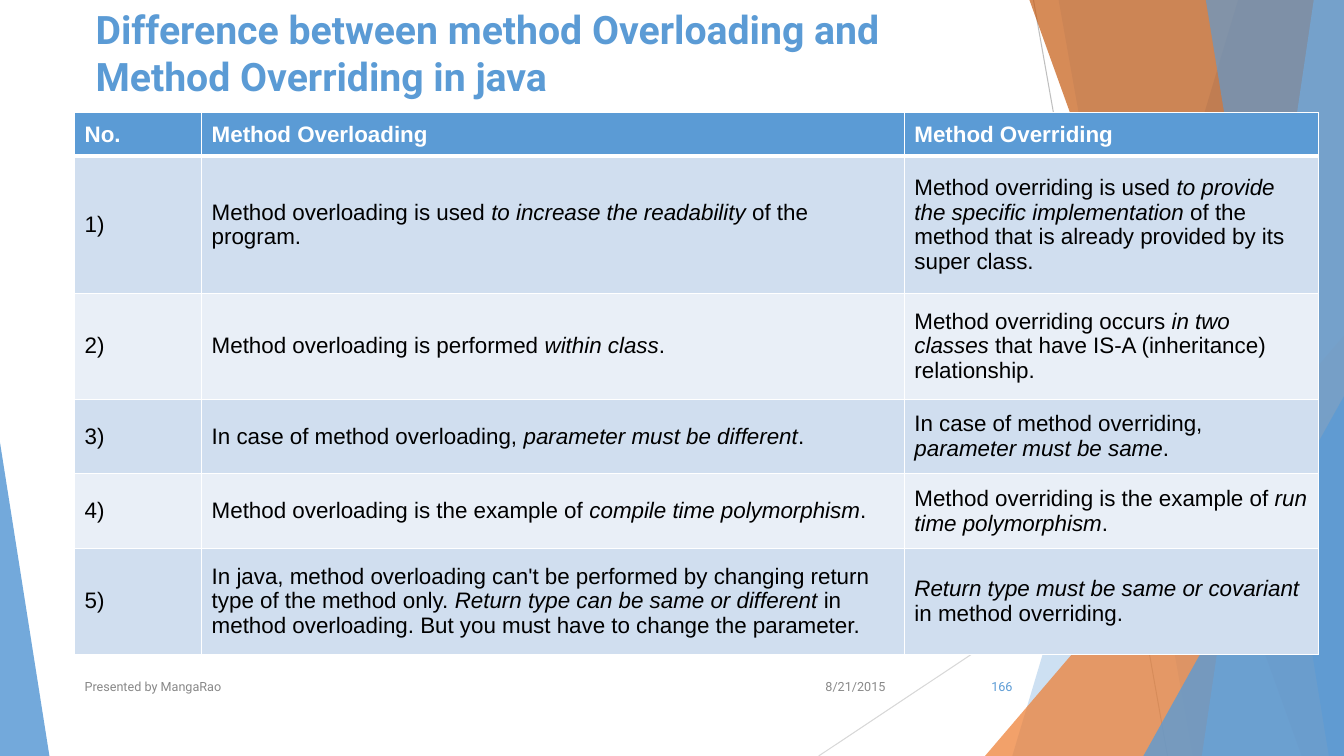
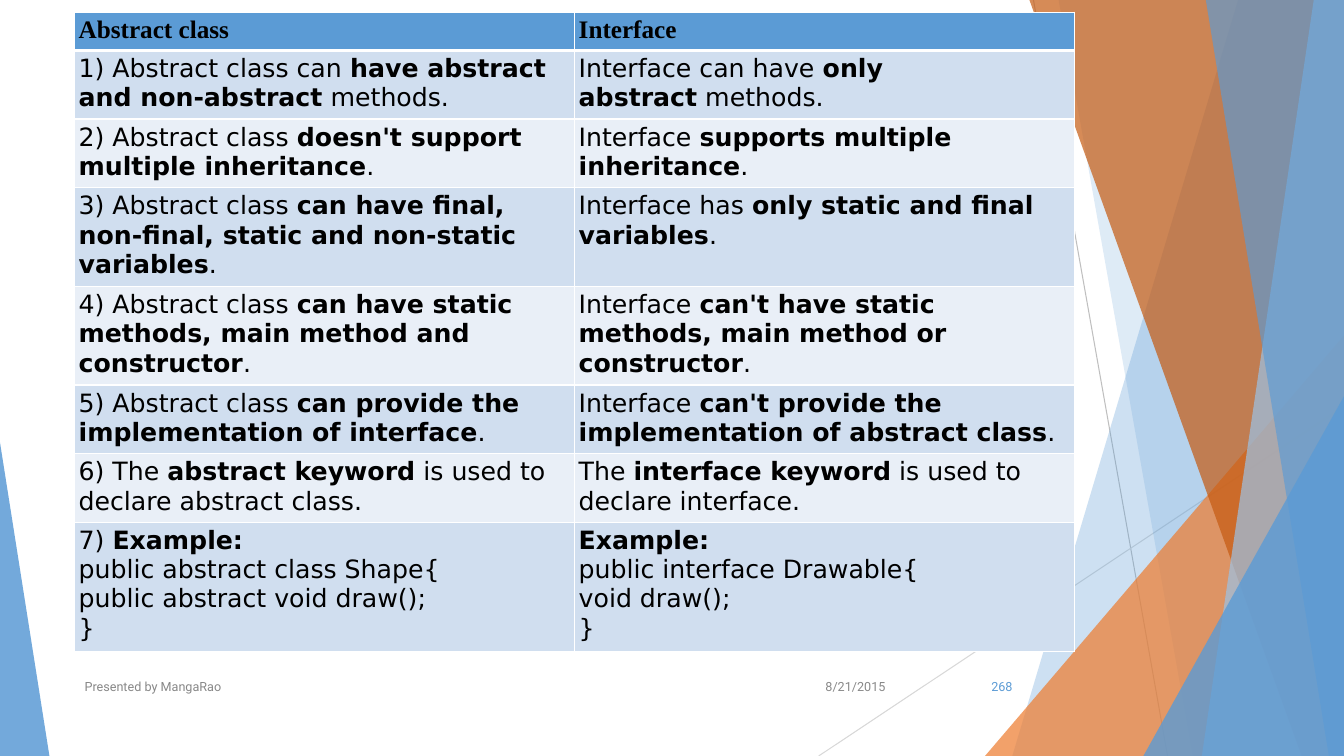
from dataclasses import dataclass

from lxml.etree import SubElement
from pptx import Presentation
from pptx.dml.color import RGBColor
from pptx.enum.shapes import MSO_CONNECTOR, MSO_SHAPE
from pptx.enum.text import MSO_ANCHOR, PP_ALIGN
from pptx.oxml.ns import qn
from pptx.shapes.autoshape import Shape
from pptx.slide import Slide
from pptx.table import _Cell
from pptx.text.text import TextFrame
from pptx.util import Inches, Pt

WIDTH, HEIGHT = 13.33, 7.5

WHITE = RGBColor(0xFF, 0xFF, 0xFF)
BLACK = RGBColor(0x00, 0x00, 0x00)
BLUE = RGBColor(0x5B, 0x9B, 0xD5)
PALE_BLUE = RGBColor(0x9C, 0xC2, 0xE5)
ORANGE = RGBColor(0xED, 0x7D, 0x31)
RUST = RGBColor(0xC5, 0x5A, 0x11)
GREY = RGBColor(0x88, 0x88, 0x88)
LINE_GREY = RGBColor(0xBF, 0xBF, 0xBF)
LIGHT_LINE_GREY = RGBColor(0xD8, 0xD8, 0xD8)
ROW_FILLS = (RGBColor(0xE9, 0xEF, 0xF7), RGBColor(0xD0, 0xDE, 0xEF))

EMPHASIS_MARK = "*"
HARD_SPACE_MARK, HARD_SPACE = "~", chr(160)


@dataclass(frozen=True)
class Ray:
    start: tuple[float, float]
    end: tuple[float, float]
    color: RGBColor


@dataclass(frozen=True)
class Band:
    """A full-height pane from a slanted left edge to the right of the slide."""
    top_x: float
    bottom_x: float
    color: RGBColor
    opacity: int


@dataclass(frozen=True)
class Wedge:
    """A right triangle standing on the bottom of the slide."""
    left: float
    top: float
    width: float
    apex: int
    color: RGBColor
    opacity: int


@dataclass(frozen=True)
class TextStyle:
    format: dict
    color: RGBColor
    align: PP_ALIGN = PP_ALIGN.LEFT
    anchor: MSO_ANCHOR = MSO_ANCHOR.MIDDLE
    margins: tuple[float, float] = (0.1, 0.05)
    emphasis: str = "bold"


@dataclass(frozen=True)
class TableDesign:
    top: float
    column_widths: list[float]
    row_heights: list[float]
    header: TextStyle
    body: TextStyle


RAYS = [
    Ray((10.25, 0), (11.58, HEIGHT), LINE_GREY),
    Ray((WIDTH, 4.03), (8.12, HEIGHT), LIGHT_LINE_GREY),
]
PANES = [
    Band(12.28, 10.04, BLUE, 30),
    Band(10.5, 11.83, BLUE, 20),
    Wedge(9.77, 3.33, 3.56, 1, ORANGE, 72),
    Band(10.21, 12.91, RUST, 70),
    Band(13.03, 11.92, PALE_BLUE, 70),
    Band(11.96, 13.18, BLUE, 65),
    Wedge(11.34, 3.93, 1.99, 1, BLUE, 80),
    Wedge(0, 4.39, 0.49, 0, BLUE, 85),
]

TABLE_LEFT = 0.74
FOOTER_TOP, FOOTER_HEIGHT = 6.61, 0.4
FOOTER_FORMAT = {"name": "Roboto", "size": Pt(9)}
FOOTER = TextStyle(FOOTER_FORMAT, GREY)
DATE = TextStyle(FOOTER_FORMAT, GREY, PP_ALIGN.RIGHT)
PAGE_NUMBER = TextStyle(FOOTER_FORMAT, BLUE, PP_ALIGN.RIGHT)
TITLE = TextStyle({"name": "Roboto", "size": Pt(28), "bold": True}, BLUE,
                  anchor=MSO_ANCHOR.TOP)

METHOD_DESIGN = TableDesign(
    1.12, [1.26, 6.97, 4.11], [0.43, 1.36, 1.05, 0.74, 0.74, 1.05],
    TextStyle({"name": "Arial", "size": Pt(16), "bold": True}, WHITE),
    TextStyle({"name": "Arial", "size": Pt(16), "bold": False}, BLACK, emphasis="italic"),
)
CLASS_DESIGN = TableDesign(
    0.12, [4.96, 4.96], [0.36, 0.66, 0.66, 0.95, 0.95, 0.66, 0.66, 1.24],
    TextStyle({"name": "Times New Roman", "size": Pt(18), "bold": True}, BLACK,
              anchor=MSO_ANCHOR.TOP, margins=(0.04, 0.04)),
    TextStyle({"name": "DejaVu Sans", "size": Pt(18), "bold": False}, BLACK,
              anchor=MSO_ANCHOR.TOP, margins=(0.04, 0.04)),
)

METHOD_ROWS = [
    ("No.", "Method Overloading", "Method Overriding"),
    ("1)", "Method overloading is used *to increase the readability* of the program.",
     "Method overriding is used *to provide the specific implementation* of the method "
     "that is already provided by its super class."),
    ("2)", "Method overloading is performed *within class*.",
     "Method overriding occurs *in two classes* that have IS-A (inheritance) relationship."),
    ("3)", "In case of method overloading, *parameter must be different*.",
     "In case of method overriding, *parameter must be same*."),
    ("4)", "Method overloading is the example of *compile time polymorphism*.",
     "Method overriding is the example of *run time polymorphism*."),
    ("5)", "In java, method overloading can't be performed by changing return type of the "
     "method only. *Return type can be same or different* in method overloading. "
     "But you must have to change the parameter.",
     "*Return type must be same or covariant* in method overriding."),
]
CLASS_ROWS = [
    ("Abstract class", "Interface"),
    ("1) Abstract class can~*have abstract and non-abstract*~methods.",
     "Interface can have~*only abstract*~methods."),
    ("2) Abstract class~*doesn't support multiple inheritance*.",
     "Interface~*supports multiple inheritance*."),
    ("3) Abstract class~*can have final, non-final, static and non-static variables*.",
     "Interface has~*only static and final variables*."),
    ("4) Abstract class~*can have static methods, main method and constructor*.",
     "Interface~*can't have static methods, main method or constructor*."),
    ("5) Abstract class~*can provide the implementation of interface*.",
     "Interface~*can't provide the implementation of abstract class*."),
    ("6) The~*abstract keyword*~is used to declare abstract class.",
     "The~*interface keyword*~is used to declare interface."),
    ("7)~*Example:*\npublic abstract class Shape{\npublic abstract void draw();\n}",
     "*Example:*\npublic interface Drawable{\nvoid draw();\n}"),
]


def write_text(frame: TextFrame, text: str, style: TextStyle) -> None:
    """Write one paragraph per line; text between asterisks is emphasised."""
    for index, line in enumerate(text.replace(HARD_SPACE_MARK, HARD_SPACE).split("\n")):
        paragraph = frame.add_paragraph() if index else frame.paragraphs[0]
        paragraph.alignment = style.align
        for part, words in enumerate(line.split(EMPHASIS_MARK)):
            if not words:
                continue
            run = paragraph.add_run()
            run.text = words
            emphasis = {style.emphasis: True} if part % 2 else {}
            for attribute, value in (style.format | emphasis).items():
                setattr(run.font, attribute, value)
            run.font.color.rgb = style.color


def set_layout(target: TextFrame | _Cell, style: TextStyle) -> None:
    """Set the margins and the anchor of a text frame or a cell."""
    side, end = map(Inches, style.margins)
    layout = {"margin_left": side, "margin_right": side, "margin_top": end,
              "margin_bottom": end, "vertical_anchor": style.anchor}
    for attribute, value in layout.items():
        setattr(target, attribute, value)


def add_text(slide: Slide, text: str, left: float, top: float, width: float,
             height: float, style: TextStyle) -> None:
    box = slide.shapes.add_textbox(Inches(left), Inches(top), Inches(width), Inches(height))
    box.text_frame.word_wrap = True
    set_layout(box.text_frame, style)
    write_text(box.text_frame, text, style)


def add_ray(slide: Slide, ray: Ray) -> None:
    connector = slide.shapes.add_connector(
        MSO_CONNECTOR.STRAIGHT, *map(Inches, ray.start + ray.end))
    connector.line.color.rgb = ray.color
    connector.line.width = Pt(0.75)
    SubElement(connector._element.spPr, qn("a:effectLst"))


def outline_band(slide: Slide, band: Band) -> Shape:
    builder = slide.shapes.build_freeform(Inches(band.top_x), 0)
    corners = [(WIDTH, 0), (WIDTH, HEIGHT), (band.bottom_x, HEIGHT)]
    builder.add_line_segments([(Inches(x), Inches(y)) for x, y in corners])
    return builder.convert_to_shape()


def outline_wedge(slide: Slide, wedge: Wedge) -> Shape:
    shape = slide.shapes.add_shape(
        MSO_SHAPE.ISOSCELES_TRIANGLE, Inches(wedge.left), Inches(wedge.top),
        Inches(wedge.width), Inches(HEIGHT - wedge.top))
    shape.adjustments[0] = wedge.apex
    return shape


def add_pane(slide: Slide, pane: Band | Wedge) -> None:
    outline = outline_band if isinstance(pane, Band) else outline_wedge
    shape = outline(slide, pane)
    shape.shadow.inherit = False
    shape.line.fill.background()
    shape.fill.solid()
    shape.fill.fore_color.rgb = pane.color
    color = shape._element.spPr.find(qn("a:solidFill")).find(qn("a:srgbClr"))
    SubElement(color, qn("a:alpha"), val=str(pane.opacity * 1000))


def set_borders(cell: _Cell, row: int) -> None:
    """Draw white borders, with a thick one under the header."""
    points = {"L": 1, "R": 1, "T": 3 if row == 1 else 1, "B": 3 if row == 0 else 1}
    for side, width in points.items():
        border = SubElement(cell._tc.get_or_add_tcPr(), qn(f"a:ln{side}"), w=str(Pt(width)))
        SubElement(SubElement(border, qn("a:solidFill")), qn("a:srgbClr"), val=str(WHITE))


def add_comparison(slide: Slide, rows: list[tuple[str, ...]], design: TableDesign) -> None:
    table = slide.shapes.add_table(
        len(rows), len(design.column_widths), Inches(TABLE_LEFT), Inches(design.top),
        Inches(sum(design.column_widths)), Inches(sum(design.row_heights))).table
    table.horz_banding = False
    for column, width in zip(table.columns, design.column_widths):
        column.width = Inches(width)
    for row, (texts, height) in enumerate(zip(rows, design.row_heights)):
        table.rows[row].height = Inches(height)
        style = design.body if row else design.header
        for column, text in enumerate(texts):
            cell = table.cell(row, column)
            set_layout(cell, style)
            set_borders(cell, row)
            cell.fill.solid()
            cell.fill.fore_color.rgb = ROW_FILLS[row % 2] if row else BLUE
            write_text(cell.text_frame, text, style)


def add_base_slide(presentation: Presentation, number: int) -> Slide:
    """Add a slide with the shared decoration and footers."""
    slide = presentation.slides.add_slide(presentation.slide_layouts[6])
    for ray in RAYS:
        add_ray(slide, ray)
    for pane in PANES:
        add_pane(slide, pane)
    for text, left, width, style in [
        ("8/21/2015", 7.88, 1, DATE),
        ("Presented by MangaRao", TABLE_LEFT, 6.89, FOOTER),
        (str(number), 9.39, 0.75, PAGE_NUMBER),
    ]:
        add_text(slide, text, left, FOOTER_TOP, width, FOOTER_HEIGHT, style)
    return slide


def main() -> None:
    presentation = Presentation()
    presentation.slide_width = Inches(WIDTH)
    presentation.slide_height = Inches(HEIGHT)

    method_slide = add_base_slide(presentation, 166)
    add_text(method_slide, "Difference between method Overloading and Method Overriding in java",
             0.85, 0, 9.4, 1, TITLE)
    add_comparison(method_slide, METHOD_ROWS, METHOD_DESIGN)

    class_slide = add_base_slide(presentation, 268)
    add_comparison(class_slide, CLASS_ROWS, CLASS_DESIGN)

    presentation.save("out.pptx")


if __name__ == "__main__":
    main()
